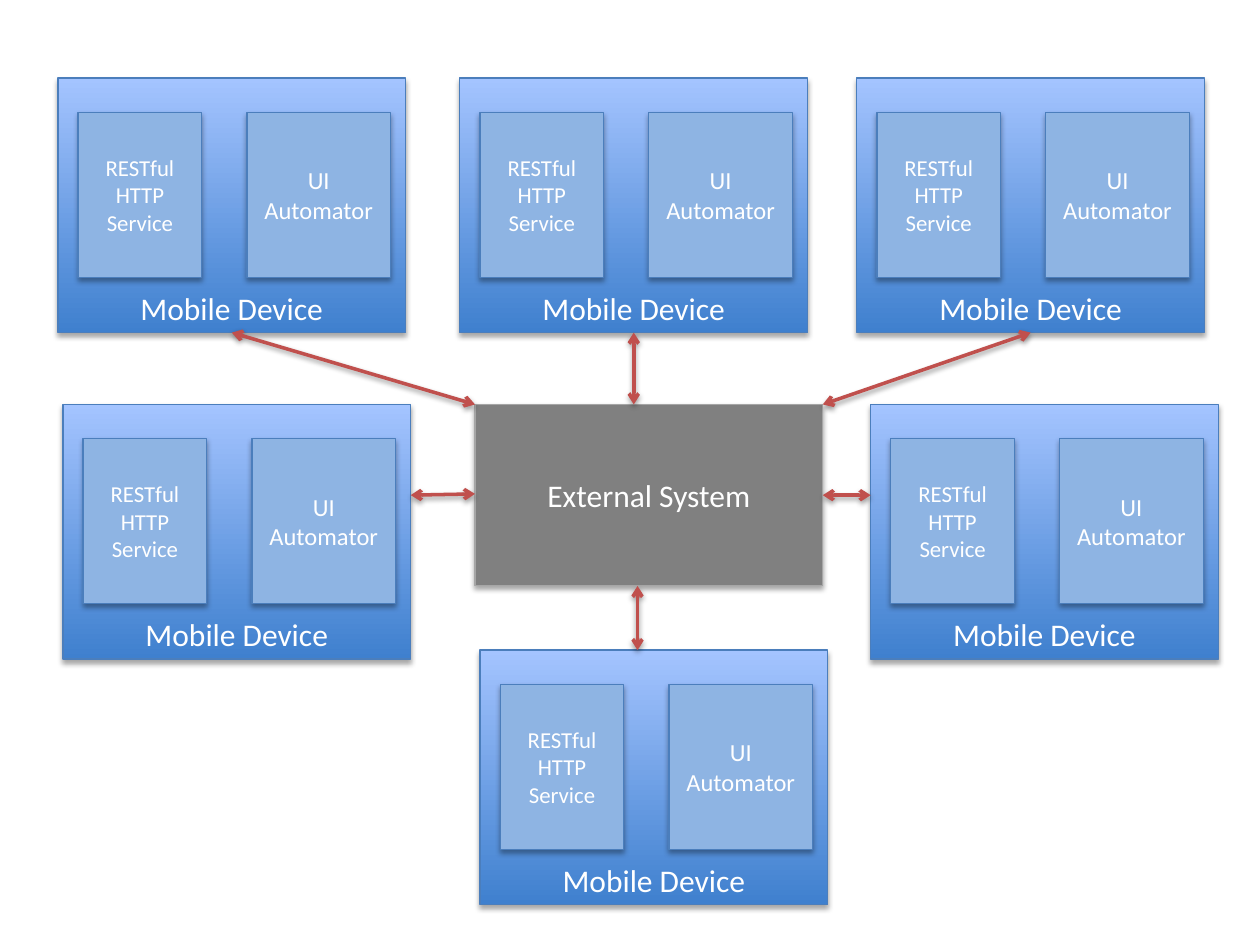
"""Builds a slide of six mobile devices linked to one external system."""
from lxml import etree
from pptx import Presentation, util as u
from pptx.dml.color import RGBColor
from pptx.enum import shapes, text
from pptx.oxml import ns

COLORS = {"system": "808080", "system_edge": "A6A6A6", "device_low": "3F80CE",
          "device_high": "A4C4FF", "module": "8EB4E3", "edge": "4B7EBC",
          "link": "C0504D", "text": "FFFFFF", "shadow": "000000"}
FONT = "Calibri"

SYSTEM = ("External System", (3.77, 3.21, 2.76, 1.44))
DEVICE_NAME, DEVICE_SIZE = "Mobile Device", (2.76, 2.02)
DEVICES = [(6.8, 0.62), (6.91, 3.21), (3.65, 0.62),
           (0.46, 0.62), (0.5, 3.21), (3.81, 5.16)]
MODULES = [(["RESTful HTTP Service"], 13, (0.16, 0.27, 0.98, 1.31)),
           (["UI", "Automator"], 14, (1.5, 0.27, 1.14, 1.31))]
LINKS = [((1.84, 2.64), (3.77, 3.21)), ((5.03, 2.64), (5.03, 3.21)),
         ((8.18, 2.64), (6.53, 3.21)), ((5.06, 5.16), (5.06, 4.65)),
         ((6.91, 3.93), (6.53, 3.93)), ((3.77, 3.92), (3.26, 3.93))]


def rgb(name):
    return RGBColor.from_string(COLORS[name])


def child(parent, tag, **attributes):
    return etree.SubElement(parent, ns.qn(tag), attributes)


def cast_shadow(properties, blur, distance, opacity):
    effects = properties.find(ns.qn("a:effectLst"))
    if effects is None:
        effects = child(properties, "a:effectLst")
    outer = child(effects, "a:outerShdw", blurRad=str(u.Pt(blur)), dist=str(u.Pt(distance)),
                  dir="5400000", rotWithShape="0")
    tint = child(outer, "a:srgbClr", val=COLORS["shadow"])
    child(tint, "a:alpha", val=str(opacity * 1000))


def add_box(parent, place, lines, size, fill, edge, anchor=text.MSO_ANCHOR.MIDDLE):
    box = parent.add_shape(shapes.MSO_SHAPE.RECTANGLE, *map(u.Inches, place))
    if isinstance(fill, tuple):
        box.fill.gradient()
        box.fill.gradient_angle = 90
        for stop, name in zip(box.fill.gradient_stops, fill):
            stop.color.rgb = rgb(name)
    else:
        box.fill.solid()
        box.fill.fore_color.rgb = rgb(fill)
    box.line.color.rgb = rgb(edge)
    box.line.width = u.Pt(0.75)
    box.shadow.inherit = False
    cast_shadow(box._element.spPr, 3.1, 1.8, 35)
    frame = box.text_frame
    frame.word_wrap = True
    frame.vertical_anchor = anchor
    for index, line in enumerate(lines):
        paragraph = frame.add_paragraph() if index else frame.paragraphs[0]
        paragraph.alignment = text.PP_ALIGN.CENTER
        run = paragraph.add_run()
        run.text = line
        run.font.size = u.Pt(size)
        run.font.name = FONT
        run.font.color.rgb = rgb("text")


def add_device(parent, left, top):
    device = parent.add_group_shape().shapes
    add_box(device, (left, top, *DEVICE_SIZE), [DEVICE_NAME], 18,
            ("device_low", "device_high"), "edge", text.MSO_ANCHOR.BOTTOM)
    for lines, size, (dx, dy, width, height) in MODULES:
        add_box(device, (left + dx, top + dy, width, height), lines, size, "module", "edge")


def add_link(parent, start, end):
    link = parent.add_connector(shapes.MSO_CONNECTOR.STRAIGHT, *map(u.Inches, start + end))
    link.line.color.rgb = rgb("link")
    link.line.width = u.Pt(2)
    outline = link.line._get_or_add_ln()
    for tip in ("a:headEnd", "a:tailEnd"):
        child(outline, tip, type="arrow")
    cast_shadow(link._element.spPr, 3.1, 1.6, 38)


deck = Presentation()
deck.slide_width, deck.slide_height = u.Inches(10), u.Inches(7.5)
canvas = deck.slides.add_slide(deck.slide_layouts[6]).shapes

system_name, system_place = SYSTEM
add_box(canvas, system_place, [system_name], 18, "system", "system_edge")
for corner in DEVICES:
    add_device(canvas, *corner)
for ends in LINKS:
    add_link(canvas, *ends)

deck.save("out.pptx")
